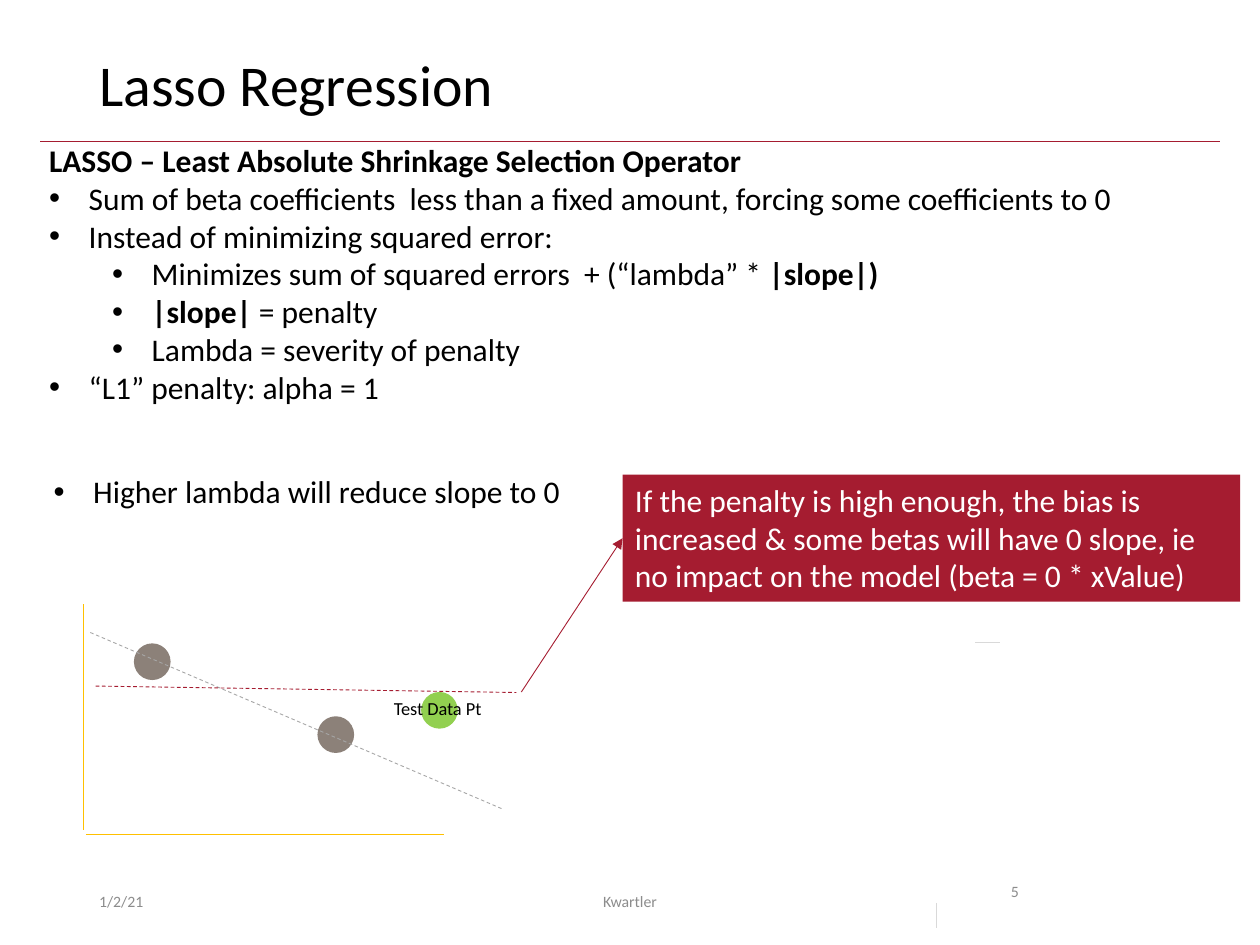
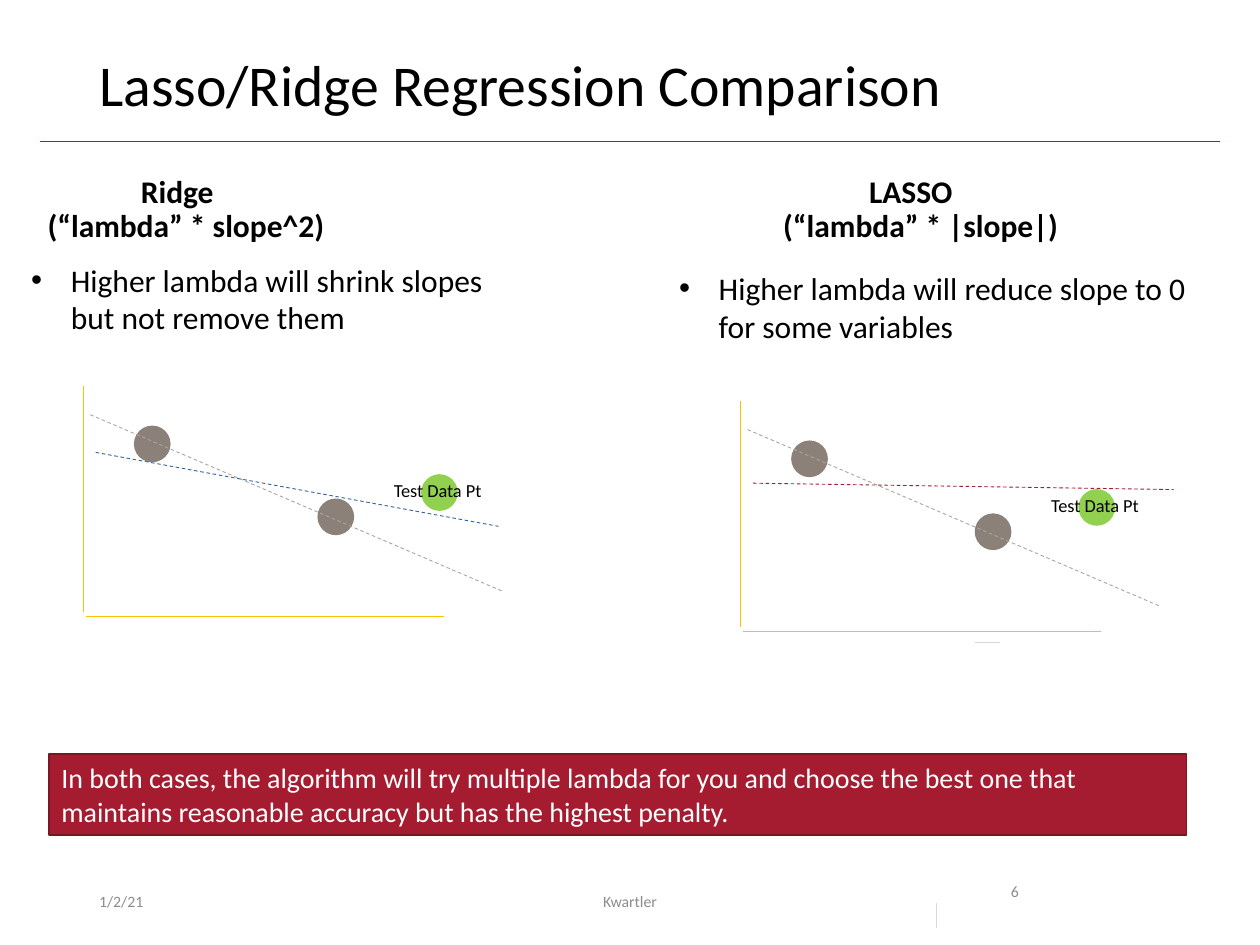
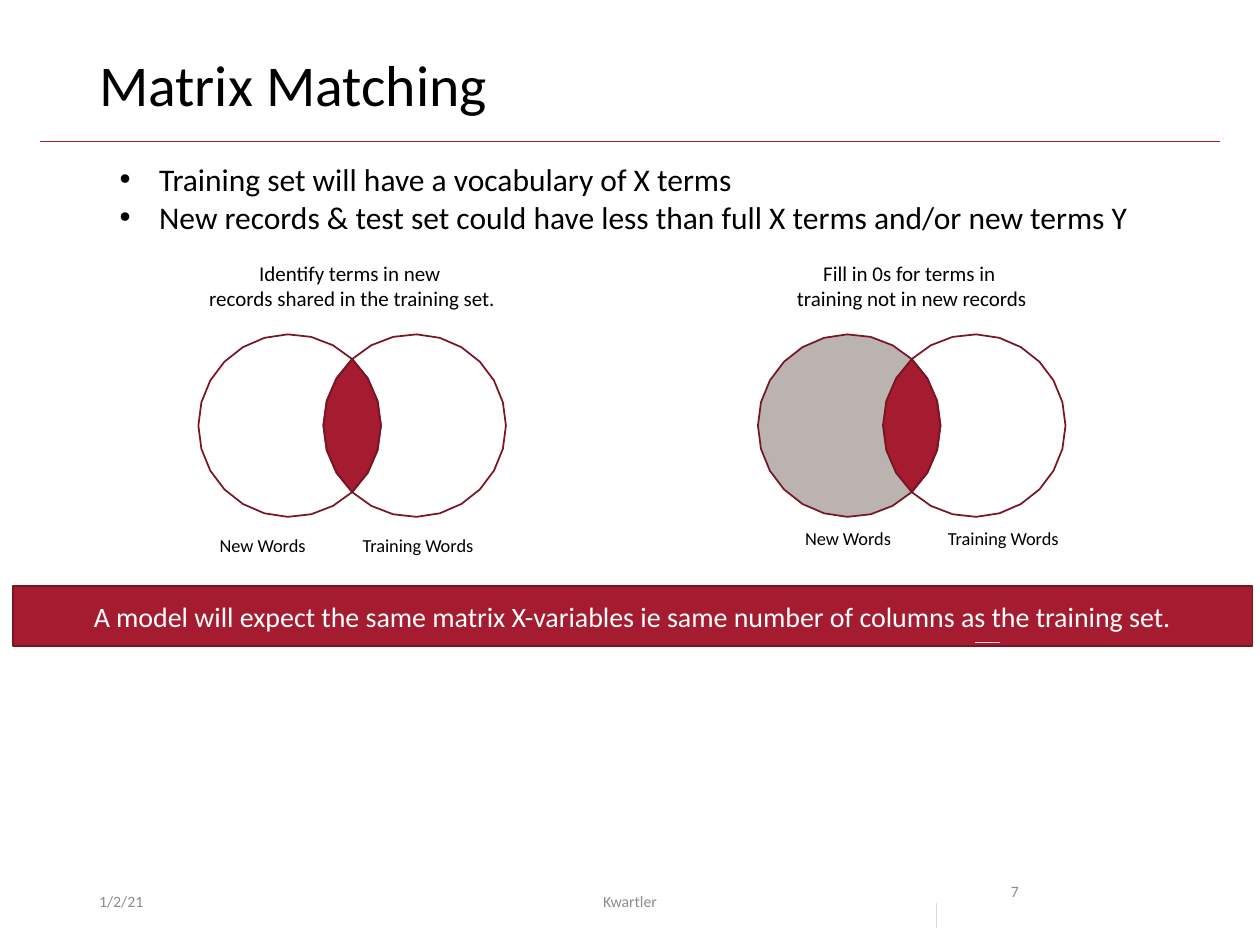
from math import acos, cos, pi, sin

from lxml.etree import SubElement
from pptx import Presentation
from pptx.dml.color import RGBColor
from pptx.enum.dml import MSO_LINE
from pptx.enum.shapes import MSO_CONNECTOR, MSO_SHAPE
from pptx.enum.text import MSO_ANCHOR, PP_ALIGN
from pptx.oxml.ns import qn
from pptx.util import Cm, Pt

FONT = "Calibri"
COLORS = {
    "black": "000000", "white": "FFFFFF", "crimson": "A51C30", "maroon": "7A1524",
    "footer": "8C8C8C", "tick": "D9D9D9", "gold": "FFC000", "dot": "8C8179",
    "green": "92D050", "trend": "A6A6A6", "blue": "33629A", "sand": "BAB3AF",
}
RGB = {name: RGBColor.from_string(value) for name, value in COLORS.items()}


def add_text(s, box, paras, size=18, color="black", fill=None, line=None,
             align=PP_ALIGN.LEFT, anchor=MSO_ANCHOR.TOP, wrap=True, spacing=None):
    """Add text; leading "- " or "-- " sets the bullet level, ** toggles bold."""
    box = [Cm(v) for v in box]
    if fill:
        sp = s.shapes.add_shape(MSO_SHAPE.RECTANGLE, *box)
        sp.shadow.inherit = False
        sp.fill.solid()
        sp.fill.fore_color.rgb = RGB[fill]
        if line:
            sp.line.color.rgb = RGB[line]
            sp.line.width = Pt(1)
        else:
            sp.line.fill.background()
    else:
        sp = s.shapes.add_textbox(*box)
    tf = sp.text_frame
    tf.word_wrap = wrap
    tf.vertical_anchor = anchor
    for i, text in enumerate(paras):
        p = tf.add_paragraph() if i else tf.paragraphs[0]
        p.alignment = align
        if spacing:
            p.line_spacing = spacing
        mark, _, rest = text.partition(" ")
        if mark in ("-", "--"):
            text = rest
            p.level = len(mark) - 1
            pPr = p._p.get_or_add_pPr()
            pPr.set("marL", str(Cm(0.8 + 1.27 * p.level)))
            pPr.set("indent", str(-Cm(0.8)))
            SubElement(pPr, qn("a:buFont")).set("typeface", "Arial")
            SubElement(pPr, qn("a:buChar")).set("char", "•")
        for j, part in enumerate(text.split("**")):
            if part:
                r = p.add_run()
                r.text = part
                r.font.name = FONT
                r.font.size = Pt(size)
                r.font.bold = j % 2 == 1
                r.font.color.rgb = RGB[color]


def add_line(s, x1, y1, x2, y2, color, dash=False, arrow=False):
    c = s.shapes.add_connector(MSO_CONNECTOR.STRAIGHT, Cm(x1), Cm(y1), Cm(x2), Cm(y2))
    c.line.color.rgb = RGB[color]
    c.line.width = Pt(0.5)
    if dash:
        c.line.dash_style = MSO_LINE.DASH
    if arrow:
        SubElement(c.line._get_or_add_ln(), qn("a:tailEnd")).set("type", "triangle")
    SubElement(c._element.spPr, qn("a:effectLst"))


prs = Presentation()
prs.slide_width, prs.slide_height = Cm(25.4), Cm(19.05)

# Title, rule and footer on every slide
titles = ["Lasso Regression", "Lasso/Ridge Regression Comparison", "Matrix Matching"]
slides = []
for number, title in enumerate(titles, start=5):
    s = prs.slides.add_slide(prs.slide_layouts[6])
    slides.append(s)
    add_line(s, 0.81, 2.85, 24.59, 2.85, "crimson")
    add_text(s, (1.75, 17.65, 5.72, 1.02), ["1/2/21"], 9, "footer",
             anchor=MSO_ANCHOR.MIDDLE)
    add_text(s, (1.75, 1.02, 21.9, 1.65), [title], 33, spacing=0.9)
    add_text(s, (8.41, 17.65, 8.58, 1.02), ["Kwartler"], 9, "footer",
             align=PP_ALIGN.CENTER, anchor=MSO_ANCHOR.MIDDLE)
    add_text(s, (20.13, 17.65, 2.39, 1.02), [str(number)], 9, "footer")
lasso, compare, matching = slides

# Regression plots: slide, left, top, penalised line and its colour
lasso_fit = (0.25, 1.65, 8.73, 1.78)
ridge_fit = (0.25, 1.33, 8.37, 2.82)
plots = [
    (lasso, 1.68, 12.18, lasso_fit, "crimson"),
    (compare, 1.68, 7.79, ridge_fit, "blue"),
    (compare, 14.93, 8.09, lasso_fit, "crimson"),
]
for s, x, y, (x1, y1, x2, y2), fit_color in plots:
    add_line(s, x, y, x, y + 4.55, "gold")
    add_line(s, x + 0.05, y + 4.64, x + 7.27, y + 4.64, "gold")
    for dx, dy, color in [(1.02, 0.79, "dot"), (4.72, 2.26, "dot"), (6.81, 1.77, "green")]:
        sp = s.shapes.add_shape(MSO_SHAPE.OVAL, Cm(x + dx), Cm(y + dy), Cm(0.74), Cm(0.74))
        sp.shadow.inherit = False
        sp.fill.solid()
        sp.fill.fore_color.rgb = RGB[color]
        sp.line.fill.background()
    add_line(s, x + 0.14, y + 0.57, x + 8.43, y + 4.12, "trend", dash=True)
    add_text(s, (x + 6.01, y + 1.75, 2.36, 0.71), ["Test Data Pt"], 10.5, wrap=False)
    add_line(s, x + x1, y + y1, x + x2, y + y2, fit_color, dash=True)

# Lasso Regression
add_text(lasso, (0.74, 2.72, 22.23, 5.64), [
    "**LASSO – Least Absolute Shrinkage Selection Operator**",
    "- Sum of beta coefficients  less than a fixed amount, forcing some coefficients to 0",
    "- Instead of minimizing squared error:",
    "-- Minimizes sum of squared errors  + (“lambda” * **|slope|)**",
    "-- **|slope| **= penalty",
    "-- Lambda = severity of penalty",
    "- “L1” penalty: alpha = 1",
], wrap=False)
add_text(lasso, (0.83, 9.4, 10.9, 1.02), ["- Higher lambda will reduce slope to 0"])
add_text(lasso, (12.55, 9.57, 12.45, 2.56), [
    "If the penalty is high enough, the bias is increased & some betas will have 0 slope, "
    "ie no impact on the model (beta = 0 * xValue)"], color="white", fill="crimson")
add_line(lasso, 10.51, 13.95, 12.55, 10.85, "crimson", arrow=True)

# Lasso/Ridge Regression Comparison
headings = [
    (2.59, 3.35, 1.98, "Ridge"), (0.71, 4.02, 6.15, "(“lambda” * slope^2)"),
    (17.27, 3.35, 2.21, "LASSO"), (15.54, 4.02, 6.1, "(“lambda” * |slope|)"),
]
for x, y, w, text in headings:
    add_text(compare, (x, y, w, 1.02), [f"**{text}**"], wrap=False)
add_text(compare, (0.38, 5.13, 10.16, 1.8),
         ["- Higher lambda will shrink slopes but not remove them"])
add_text(compare, (13.44, 5.3, 10.9, 1.8),
         ["- Higher lambda will reduce slope to 0 for some variables"])
add_text(compare, (0.99, 15.2, 22.93, 1.63), [
    "In both cases, the algorithm will try multiple lambda for you and choose the best one "
    "that maintains reasonable accuracy but has the highest penalty."],
    16, "white", "crimson", "maroon", anchor=MSO_ANCHOR.MIDDLE)

# Matrix Matching
add_text(matching, (2.16, 3.1, 21.08, 1.8), [
    "- Training set will have a vocabulary of X terms",
    "- New records & test set could have less than full X terms and/or new terms Y",
], wrap=False)
add_text(matching, (0.26, 11.81, 24.99, 1.22), [
    "A model will expect the same matrix X-variables ie same number of columns "
    "as the training set."], 16, "white", "crimson", "maroon",
    align=PP_ALIGN.CENTER, anchor=MSO_ANCHOR.MIDDLE)

# Venn diagrams: each region is two arcs (side, start angle, end angle)
radius, half_gap, center_y, step = 1.84, 1.26, 8.58, pi / 12
a = acos(half_gap / radius)
lens = [(-1, -a, a), (1, pi - a, pi + a)]
left_part = [(-1, a, 2 * pi - a), (1, pi + a, pi - a)]
right_part = [(1, pi + a, 3 * pi - a), (-1, a, -a)]
venns = [
    (7.1, None, ["Identify terms in new ", "records shared in the training set."], 4.18, 10.64),
    (18.38, "sand", ["Fill in 0s for terms in ", "training not in new records"], 15.98, 10.51),
]
for center_x, left_fill, caption, label_x, label_y in venns:
    for arcs, fill in [(lens, "crimson"), (left_part, left_fill), (right_part, None)]:
        points = []
        for side, start, end in arcs:
            count = round(abs(end - start) / step)
            for i in range(count):
                angle = start + (end - start) * i / count
                points.append((Cm(center_x + side * half_gap + radius * cos(angle)),
                               Cm(center_y + radius * sin(angle))))
        outline = matching.shapes.build_freeform(*points[0])
        outline.add_line_segments(points[1:])
        sp = outline.convert_to_shape()
        sp.shadow.inherit = False
        if fill:
            sp.fill.solid()
            sp.fill.fore_color.rgb = RGB[fill]
        else:
            sp.fill.background()
        sp.line.color.rgb = RGB["maroon"]
        sp.line.width = Pt(1)
    add_text(matching, (center_x - 3.16, 5.13, 6.32, 1.27), caption, 12,
             align=PP_ALIGN.CENTER, wrap=False)
    add_text(matching, (label_x + 2.88, label_y, 2.82, 0.71), ["Training Words"], 10.5,
             wrap=False)
    add_text(matching, (label_x, label_y, 2.29, 0.71), ["New Words"], 10.5, wrap=False)

# Small ticks in front of everything else
for s in slides:
    add_line(s, 18.87, 18.2, 18.87, 18.7, "tick")
    add_line(s, 19.66, 12.95, 20.16, 12.95, "tick")

prs.save("out.pptx")
